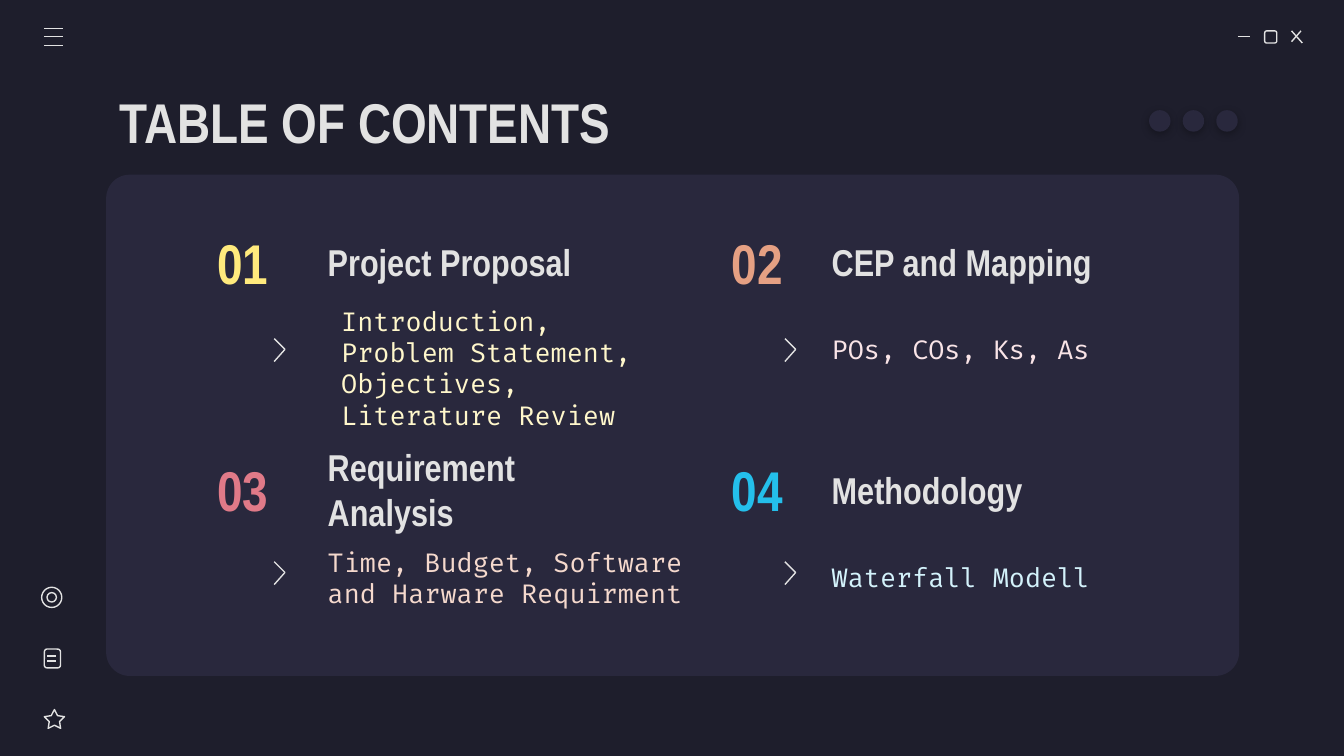
from lxml import etree
from pptx import Presentation
from pptx.dml.color import RGBColor
from pptx.enum.shapes import MSO_CONNECTOR as Connector, MSO_SHAPE as Shape
from pptx.enum.text import MSO_ANCHOR as Anchor, PP_ALIGN as Align
from pptx.oxml import parse_xml
from pptx.oxml.ns import nsdecls, qn
from pptx.util import Inches, Pt

color = RGBColor.from_string
LIGHT, PANEL = "E2E2E2", "29283D"
HEADING, CODE = "Arial Narrow", "Fira Code"


def add_text(box, lines, size, font, hex_color, align=Align.LEFT):
    shape = slide.shapes.add_textbox(*map(Inches, box))
    frame = shape.text_frame
    frame.word_wrap = True
    frame.vertical_anchor = Anchor.MIDDLE
    frame.margin_left = frame.margin_right = Inches(0.1)
    frame.margin_top = frame.margin_bottom = Inches(0.1)
    for index, line in enumerate(lines):
        paragraph = frame.add_paragraph() if index else frame.paragraphs[0]
        paragraph.alignment = align
        run = paragraph.add_run()
        run.text = line
        run.font.size = Pt(size)
        run.font.name = font
        run.font.bold = font == HEADING
        run.font.color.rgb = color(hex_color)
    return frame


def outline(shape):
    shape.shadow.inherit = False
    shape.fill.background()
    shape.line.color.rgb = color(LIGHT)
    shape.line.width = Pt(0.75)


presentation = Presentation()
presentation.slide_width = Inches(10)
presentation.slide_height = Inches(10 * 9 / 16)
slide = presentation.slides.add_slide(presentation.slide_layouts[6])
slide.background.fill.solid()
slide.background.fill.fore_color.rgb = color("1E1E2C")

panel = slide.shapes.add_shape(
    Shape.ROUNDED_RECTANGLE, Inches(0.79), Inches(1.3), Inches(8.43), Inches(3.73))
panel.adjustments[0] = 0.047
panel.shadow.inherit = False
panel.fill.solid()
panel.fill.fore_color.rgb = color(PANEL)
panel.line.fill.background()

icon_shapes = [
    (Shape.ROUNDED_RECTANGLE, 9.41, 0.23, 0.09, 0.09),
    (Shape.STAR_5_POINT, 0.33, 5.28, 0.15, 0.14),
    (Shape.ROUNDED_RECTANGLE, 0.33, 4.83, 0.12, 0.14),
    (Shape.OVAL, 0.31, 4.37, 0.15, 0.15),
    (Shape.OVAL, 0.35, 4.41, 0.07, 0.07),
]
for kind, *box in icon_shapes:
    icon = slide.shapes.add_shape(kind, *map(Inches, box))
    outline(icon)
    if kind == Shape.STAR_5_POINT:
        icon.adjustments[0] = 0.254

minimize_line = (9.21, 0.27, 9.3, 0.27)
close_lines = [(9.61, 0.23, 9.69, 0.32), (9.68, 0.23, 9.61, 0.31)]
menu_lines = [(0.33, y, 0.47, y) for y in (0.21, 0.27, 0.34)]
note_lines = [(0.35, y, 0.42, y) for y in (4.88, 4.92)]
for ends in [minimize_line, *close_lines, *menu_lines, *note_lines]:
    connector = slide.shapes.add_connector(Connector.STRAIGHT, *map(Inches, ends))
    connector.line.color.rgb = color(LIGHT)
    connector.line.width = Pt(0.75)
    etree.SubElement(connector._element.spPr, qn("a:effectLst"))

for x in (2.04, 5.84):
    for y in (2.52, 4.18):
        builder = slide.shapes.build_freeform(Inches(x), Inches(y))
        builder.add_line_segments(
            [(Inches(x + 0.08), Inches(y + 0.08)), (Inches(x), Inches(y + 0.17))],
            close=False)
        outline(builder.convert_to_shape())

for index in range(3):
    dot = slide.shapes.add_shape(
        Shape.OVAL, Inches(8.55 + 0.25 * index), Inches(0.82), Inches(0.16), Inches(0.16))
    dot.fill.solid()
    dot.fill.fore_color.rgb = color(PANEL)
    dot.line.fill.background()
    dot._element.spPr.append(parse_xml(
        f'<a:effectLst {nsdecls("a")}>'
        f'<a:outerShdw blurRad="{Pt(4.5)}" dist="{Pt(1.5)}" dir="5400000" algn="bl" rotWithShape="0">'
        '<a:srgbClr val="000000"><a:alpha val="30000"/></a:srgbClr>'
        '</a:outerShdw></a:effectLst>'))

add_text((0.79, 0.59, 8.43, 0.63), ["TABLE OF CONTENTS"], 30, HEADING, LIGHT)

sections = [
    ("Project Proposal", "FFEA7D", "FFF7CB", (2.29, 2.14, 3.19, 1.19),
     ["Introduction,", "Problem Statement,", "Objectives,", "Literature Review"]),
    ("CEP and Mapping", "E5A083", "F9E4E7", (6.09, 2.22, 2.56, 0.75),
     ["POs, COs, Ks, As"]),
    ("Requirement Analysis", "E07A88", "F5D9CD", (2.34, 3.92, 2.98, 0.75),
     ["Time, Budget, Software and Harware Requirment"]),
    ("Methodology", "24BFEB", "D3F2FB", (6.09, 3.92, 2.56, 0.75),
     ["Waterfall Modell"]),
]
for index, (heading, number_color, detail_color, detail_box, details) in enumerate(sections):
    row, column = divmod(index, 2)
    top = 1.67 + 1.69 * row
    number_left, heading_left = [(1.35, 2.34), (5.18, 6.09)][column]
    add_text((number_left, top, 0.91, 0.56), [f"{index + 1:02}"], 30, HEADING,
             number_color, Align.CENTER)
    add_text((heading_left, top, 2.56, 0.56), [heading], 20, HEADING, LIGHT)
    frame = add_text(detail_box, details, 14, CODE, detail_color)
    if len(details) > 1:
        for paragraph in frame.paragraphs:
            properties = paragraph._p.get_or_add_pPr()
            properties.set("marL", str(Inches(0.5)))
            properties.set("indent", str(Inches(-0.35)))

presentation.save("out.pptx")
